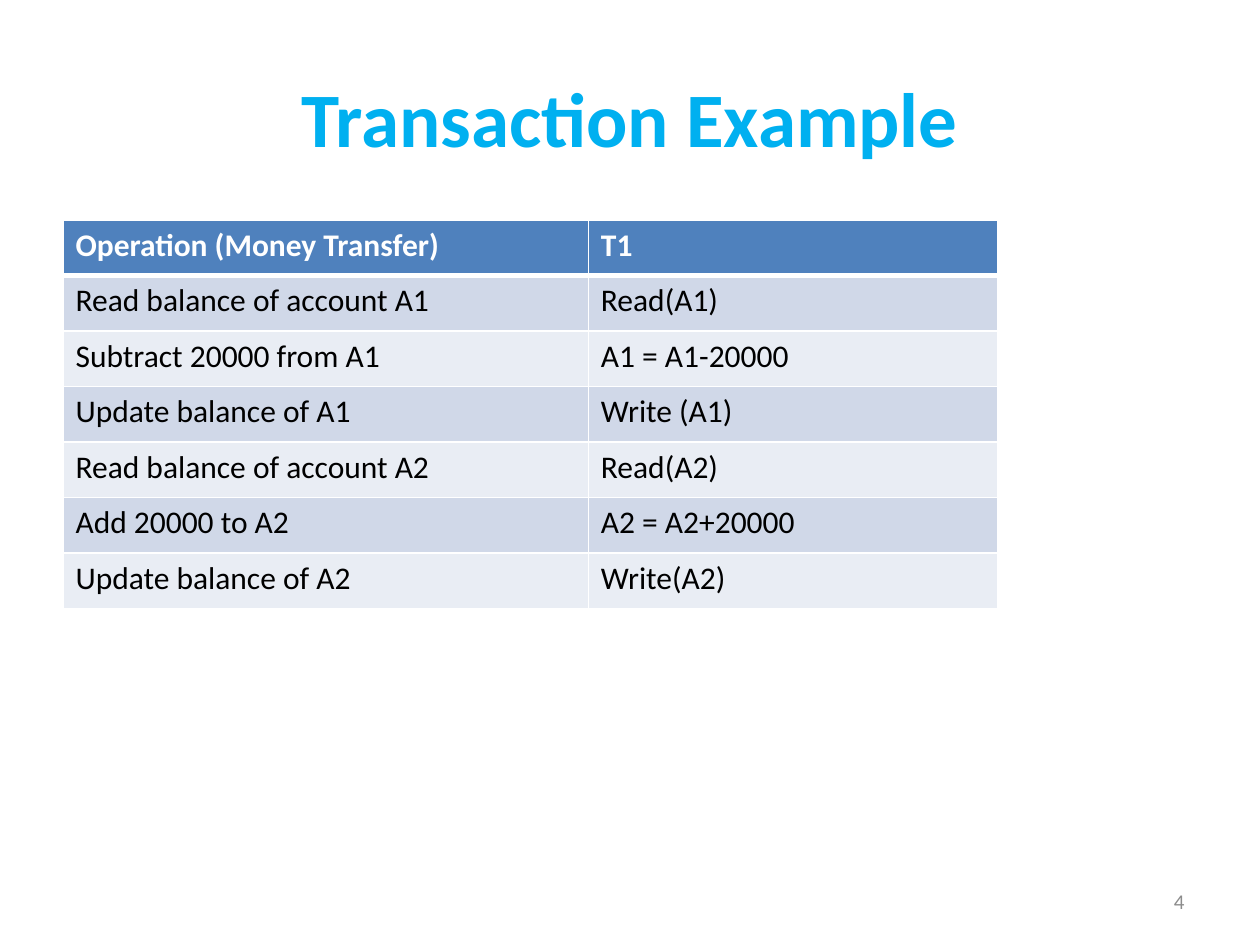
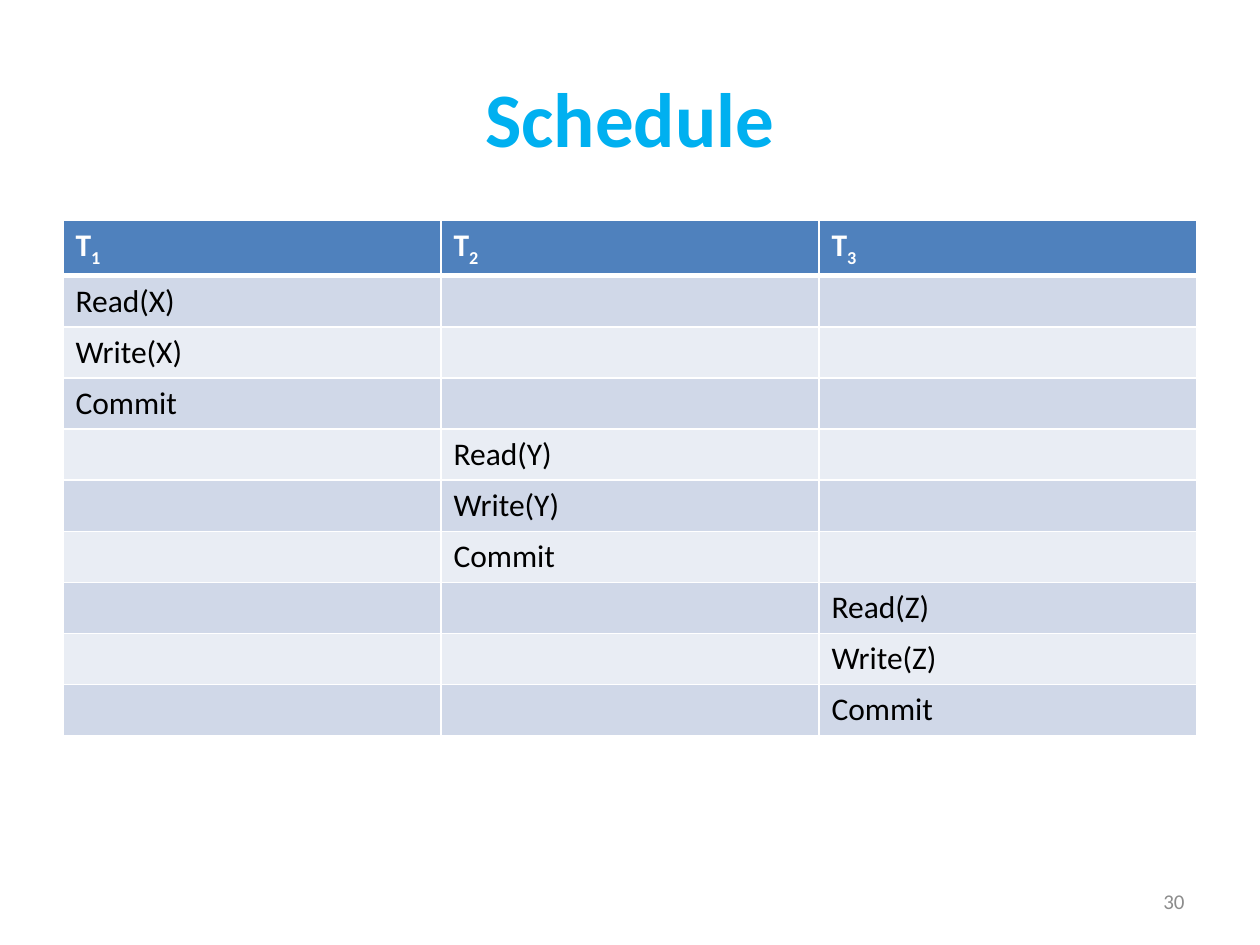
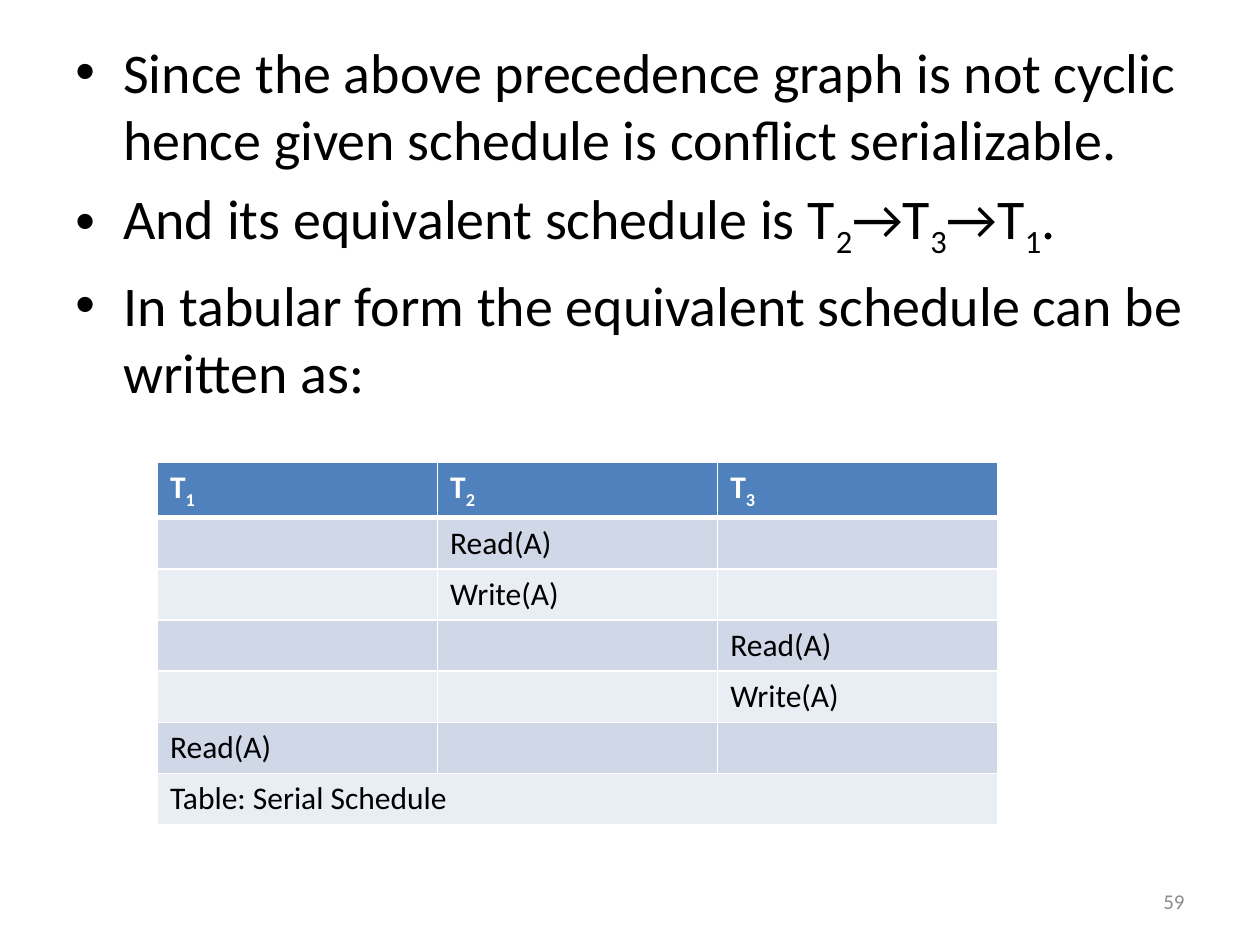
from lxml.etree import SubElement
from pptx import Presentation
from pptx.dml.color import RGBColor
from pptx.enum.text import MSO_ANCHOR, PP_ALIGN
from pptx.oxml.ns import qn
from pptx.util import Inches, Pt

WIDTH, HEIGHT = Inches(10), Inches(7.5)
FONT = "Calibri"
TITLE_BLUE, HEADER_BLUE = "00B0F0", "4F81BD"
BANDS = ("E9EDF4", "D0D8E8")
WHITE, BLACK, GREY = "FFFFFF", "000000", "8C8C8C"

TITLE_BOX = (0.05, 0.04, 0.9, 0.167)
BODY_BOX = (0.05, 0.033, 0.9, 0.86)
NUMBER_BOX = (0.717, 0.927, 0.233, 0.053)

TRANSFER = [
    ("Operation (Money Transfer)", "T1"),
    ("Read balance of account A1", "Read(A1)"),
    ("Subtract 20000 from A1", "A1 = A1-20000"),
    ("Update balance of A1", "Write (A1)"),
    ("Read balance of account A2", "Read(A2)"),
    ("Add 20000 to A2", "A2 = A2+20000"),
    ("Update balance of A2", "Write(A2)"),
]
TRANSACTIONS = ("T_1", "T_2", "T_3")
SCHEDULE_STEPS = [
    (column, operation)
    for column, item in enumerate("XYZ")
    for operation in (f"Read({item})", f"Write({item})", "Commit")
]
SERIAL_STEPS = [
    (1, "Read(A)"), (1, "Write(A)"),
    (2, "Read(A)"), (2, "Write(A)"),
    (0, "Read(A)"), (0, "Table: Serial Schedule"),
]
CONCLUSIONS = [
    "Since the above precedence graph is not cyclic hence given schedule is conflict serializable.",
    "And its equivalent schedule is T_2→T_3→T_1.",
    "In tabular form the equivalent schedule can be written as:",
]


def color(value):
    return RGBColor.from_string(value)


def place(box):
    left, top, width, height = box
    return (round(left * WIDTH), round(top * HEIGHT),
            round(width * WIDTH), round(height * HEIGHT))


def add_span(para, text, size, ink, bold, subscript=False):
    if not text:
        return
    span = para.add_run()
    span.text = text
    span.font.name, span.font.size, span.font.bold = FONT, Pt(size), bold
    span.font.color.rgb = color(ink)
    if subscript:
        span.font._element.set("baseline", "-25000")


def write(para, text, size, ink, bold=False):
    first, *rest = text.split("_")
    add_span(para, first, size, ink, bold)
    for part in rest:
        add_span(para, part[0], size, ink, bold, True)
        add_span(para, part[1:], size, ink, bold)


def add_frame(page, box, anchor):
    frame = page.shapes.add_textbox(*place(box)).text_frame
    frame.word_wrap = True
    frame.vertical_anchor = anchor
    return frame


def add_line(page, box, text, size, ink, align, bold=False):
    para = add_frame(page, box, MSO_ANCHOR.MIDDLE).paragraphs[0]
    para.alignment = align
    write(para, text, size, ink, bold)


def add_bullets(page, box, lines):
    frame = add_frame(page, box, MSO_ANCHOR.TOP)
    for index, line in enumerate(lines):
        para = frame.add_paragraph() if index else frame.paragraphs[0]
        para.space_before = Pt(6.4)
        properties = para._p.get_or_add_pPr()
        properties.set("marL", str(Inches(0.38)))
        properties.set("indent", str(-Inches(0.38)))
        SubElement(properties, qn("a:buFont"), typeface="Arial")
        SubElement(properties, qn("a:buChar"), char="•")
        write(para, line, 32, BLACK)


def add_borders(cell, row):
    properties = cell._tc.get_or_add_tcPr()
    thick = {0: "lnB", 1: "lnT"}.get(row)
    for side in ("lnL", "lnR", "lnT", "lnB"):
        line = SubElement(properties, qn(f"a:{side}"), w=str(Pt(3 if side == thick else 1)))
        SubElement(SubElement(line, qn("a:solidFill")), qn("a:srgbClr"), val=WHITE)


def add_grid(page, box, rows, weights):
    left, top, width, height = place(box)
    table = page.shapes.add_table(len(rows), len(weights), left, top, width, height).table
    for column, weight in zip(table.columns, weights):
        column.width = round(width * weight / sum(weights))
    for row, texts in enumerate(rows):
        table.rows[row].height = round(height / len(rows))
        for column, text in enumerate(texts):
            cell = table.cell(row, column)
            add_borders(cell, row)
            cell.fill.solid()
            cell.fill.fore_color.rgb = color(BANDS[row % 2] if row else HEADER_BLUE)
            write(cell.text_frame.paragraphs[0], text, 18, BLACK if row else WHITE, not row)
    return table


def schedule_rows(steps):
    return [TRANSACTIONS] + [
        [operation if index == column else "" for index in range(len(TRANSACTIONS))]
        for column, operation in steps
    ]


def add_page(deck, number):
    page = deck.slides.add_slide(deck.slide_layouts[6])
    add_line(page, NUMBER_BOX, number, 12, GREY, PP_ALIGN.RIGHT)
    return page


def add_table_page(deck, number, title, box, rows, weights):
    page = add_page(deck, number)
    add_line(page, TITLE_BOX, title, 44, TITLE_BLUE, PP_ALIGN.CENTER, True)
    add_grid(page, box, rows, weights)


def add_conclusion_page(deck, number):
    page = add_page(deck, number)
    add_bullets(page, BODY_BOX, CONCLUSIONS)
    rows = schedule_rows(SERIAL_STEPS)
    table = add_grid(page, (0.125, 0.489, 0.667, 0.379), rows, (1, 1, 1))
    last = len(rows) - 1
    table.cell(last, 0).merge(table.cell(last, 2))


def main():
    deck = Presentation()
    deck.slide_width, deck.slide_height = WIDTH, HEIGHT
    add_table_page(deck, "4", "Transaction Example",
                   (0.05, 0.233, 0.742, 0.411), TRANSFER, (4.17, 3.25))
    add_table_page(deck, "30", "Schedule",
                   (0.05, 0.233, 0.9, 0.541), schedule_rows(SCHEDULE_STEPS), (1, 1, 1))
    add_conclusion_page(deck, "59")
    deck.save("out.pptx")


if __name__ == "__main__":
    main()
